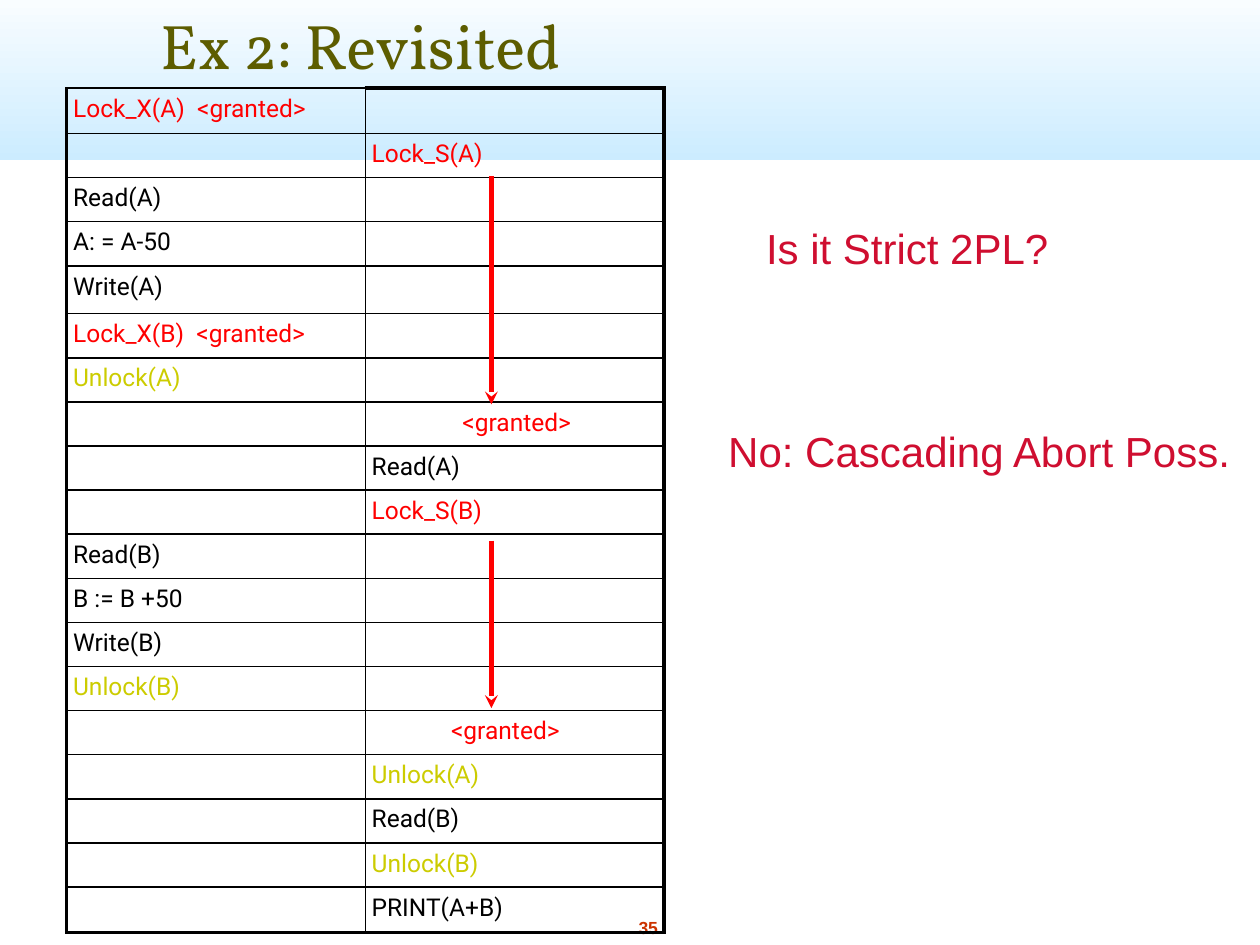
"""Build the slide that revisits the two-transaction locking example."""
from dataclasses import dataclass

from pptx import Presentation
from pptx.dml.color import RGBColor
from pptx.enum.shapes import MSO_CONNECTOR, MSO_SHAPE
from pptx.enum.text import MSO_ANCHOR, MSO_AUTO_SIZE, PP_ALIGN
from pptx.oxml.ns import qn
from pptx.util import Inches, Pt
from lxml import etree

RECTANGLE = MSO_SHAPE.RECTANGLE
STRAIGHT = MSO_CONNECTOR.STRAIGHT
TOP = MSO_ANCHOR.TOP
FIT_SHAPE = MSO_AUTO_SIZE.SHAPE_TO_FIT_TEXT
LEFT = PP_ALIGN.LEFT
CENTER = PP_ALIGN.CENTER

BLACK = RGBColor(0x00, 0x00, 0x00)
WHITE = RGBColor(0xFF, 0xFF, 0xFF)
SKY = RGBColor(0xCC, 0xEC, 0xFF)
RED = RGBColor(0xFF, 0x00, 0x00)
YELLOW = RGBColor(0xCC, 0xCC, 0x00)
OLIVE = RGBColor(0x5D, 0x5D, 0x00)
CRIMSON = RGBColor(0xCF, 0x0E, 0x30)
RUST = RGBColor(0xCC, 0x33, 0x00)

MARGIN = 0.05
COLUMN_WIDTH = 2.37
ROW_HEIGHT = 0.35
TALLER_ROWS = {0: 0.36, 4: 0.38, 18: 0.36}
THIN, THICK = 1, 2.25
CELL_SIZE = 14


@dataclass(frozen=True)
class Step:
    """One action of a transaction, in column 0 or 1."""
    column: int
    text: str
    color: RGBColor = BLACK
    indent: float = 0


@dataclass(frozen=True)
class Label:
    """A free-standing line of text."""
    text: str
    left: float
    top: float
    width: float
    height: float
    size: float
    color: RGBColor
    bold: bool = False
    align: PP_ALIGN = LEFT


@dataclass(frozen=True)
class Wait:
    """A vertical arrow from a lock request to its grant."""
    x: float
    top: float
    bottom: float


STEPS = [
    Step(0, "Lock_X(A)  <granted>", RED),
    Step(1, "Lock_S(A)", RED),
    Step(0, "Read(A)"),
    Step(0, "A: = A-50"),
    Step(0, "Write(A)"),
    Step(0, "Lock_X(B)  <granted>", RED),
    Step(0, "Unlock(A)", YELLOW),
    Step(1, "<granted>", RED, indent=0.72),
    Step(1, "Read(A)"),
    Step(1, "Lock_S(B)", RED),
    Step(0, "Read(B)"),
    Step(0, "B := B +50"),
    Step(0, "Write(B)"),
    Step(0, "Unlock(B)", YELLOW),
    Step(1, "<granted>", RED, indent=0.63),
    Step(1, "Unlock(A)", YELLOW),
    Step(1, "Read(B)"),
    Step(1, "Unlock(B)", YELLOW),
    Step(1, "PRINT(A+B)"),
]
PAGE_NUMBER = Label("35", 5.01, 7.23, 0.27, 0.27, 10, RUST, True, CENTER)
REMARKS = [
    Label("Is it Strict 2PL?", 6.03, 1.72, 2.36, 0.48, 24, CRIMSON),
    Label("No: Cascading Abort Poss.", 5.73, 3.33, 4.1, 0.48, 24, CRIMSON),
]
WAITS = [Wait(3.9, 1.4, 3.21), Wait(3.9, 4.29, 5.62)]


def write_text(frame, text: str, *, font: str, size: float, color: RGBColor,
               bold: bool = False, align: PP_ALIGN = LEFT) -> None:
    """Fill a text frame with one formatted line."""
    para = frame.paragraphs[0]
    para.alignment = align
    span = para.add_run()
    span.text = text
    span.font.name = font
    span.font.size = Pt(size)
    span.font.bold = bold
    span.font.color.rgb = color


def fit_frame(frame) -> None:
    """Give an unwrapped frame narrow margins and a height that fits."""
    frame.margin_left = frame.margin_right = Inches(MARGIN)
    frame.margin_top = frame.margin_bottom = Inches(MARGIN)
    frame.vertical_anchor = TOP
    frame.word_wrap = False
    frame.auto_size = FIT_SHAPE


def add_band(page) -> None:
    """Put the sky gradient behind everything else."""
    band = page.shapes.add_shape(RECTANGLE, 0, Inches(-0.17), Inches(10), Inches(1.44))
    band.shadow.inherit = False
    band.line.fill.background()
    band.fill.gradient()
    band.fill.gradient_angle = 270
    for stop, color in zip(band.fill.gradient_stops, (WHITE, SKY)):
        stop.color.rgb = color
    page.shapes._spTree.insert(2, band._element)


def set_title(page) -> None:
    """Move and format the title placeholder."""
    title = page.shapes.title
    title.left, title.top = Inches(1.22), 0
    title.width, title.height = Inches(3.37), Inches(0.7)
    fit_frame(title.text_frame)
    write_text(title.text_frame, "Ex 2: Revisited", font="Vollkorn", size=36, color=OLIVE)


def add_label(page, label: Label) -> None:
    """Add one text box."""
    box = page.shapes.add_textbox(Inches(label.left), Inches(label.top),
                                  Inches(label.width), Inches(label.height))
    fit_frame(box.text_frame)
    write_text(box.text_frame, label.text, font="Arial", size=label.size,
               color=label.color, bold=label.bold, align=label.align)


def set_borders(cell, widths: dict[str, float]) -> None:
    """Draw black cell borders with the given point widths."""
    properties = cell._tc.get_or_add_tcPr()
    for side, width in widths.items():
        line = etree.SubElement(properties, qn(f"a:{side}"), w=str(Pt(width)))
        fill = etree.SubElement(line, qn("a:solidFill"))
        etree.SubElement(fill, qn("a:srgbClr"), val=str(BLACK))


def add_schedule(page, steps: list[Step]) -> None:
    """Add the table with one step per row."""
    heights = [TALLER_ROWS.get(row, ROW_HEIGHT) for row in range(len(steps))]
    table = page.shapes.add_table(len(steps), 2, Inches(0.53), Inches(0.7),
                                  Inches(2 * COLUMN_WIDTH), Inches(sum(heights))).table
    table.first_row = table.horz_banding = False
    for column in table.columns:
        column.width = Inches(COLUMN_WIDTH)
    last = len(steps) - 1
    for row, (step, height) in enumerate(zip(steps, heights)):
        table.rows[row].height = Inches(height)
        for column in range(2):
            cell = table.cell(row, column)
            cell.margin_left = cell.margin_right = Inches(MARGIN)
            cell.margin_top = cell.margin_bottom = Inches(MARGIN)
            set_borders(cell, {
                "lnL": THICK if column == 0 else THIN,
                "lnR": THICK if column == 1 else THIN,
                "lnT": THICK if (row, column) == (0, 1) else THIN,
                "lnB": THICK if row == last else THIN,
            })
            cell.fill.background()
            if column == step.column:
                cell.margin_left = Inches(MARGIN + step.indent)
                write_text(cell.text_frame, step.text, font="Roboto",
                           size=CELL_SIZE, color=step.color)
            else:
                ending = cell.text_frame.paragraphs[0]._p.get_or_add_endParaRPr()
                ending.set("sz", str(CELL_SIZE * 100))


def add_wait(page, wait: Wait) -> None:
    """Add one downward arrow."""
    arrow = page.shapes.add_connector(STRAIGHT, Inches(wait.x), Inches(wait.top),
                                      Inches(wait.x), Inches(wait.bottom))
    arrow.line.color.rgb = RED
    arrow.line.width = Pt(2.5)
    etree.SubElement(arrow.line._get_or_add_ln(), qn("a:tailEnd"), type="stealth")
    etree.SubElement(arrow._element.spPr, qn("a:effectLst"))


def main() -> None:
    """Build and save the deck."""
    deck = Presentation()
    deck.slide_width, deck.slide_height = Inches(10), Inches(7.5)
    page = deck.slides.add_slide(deck.slide_layouts[5])
    add_band(page)
    set_title(page)
    add_label(page, PAGE_NUMBER)
    add_schedule(page, STEPS)
    for remark in REMARKS:
        add_label(page, remark)
    for wait in WAITS:
        add_wait(page, wait)
    deck.save("out.pptx")


if __name__ == "__main__":
    main()
